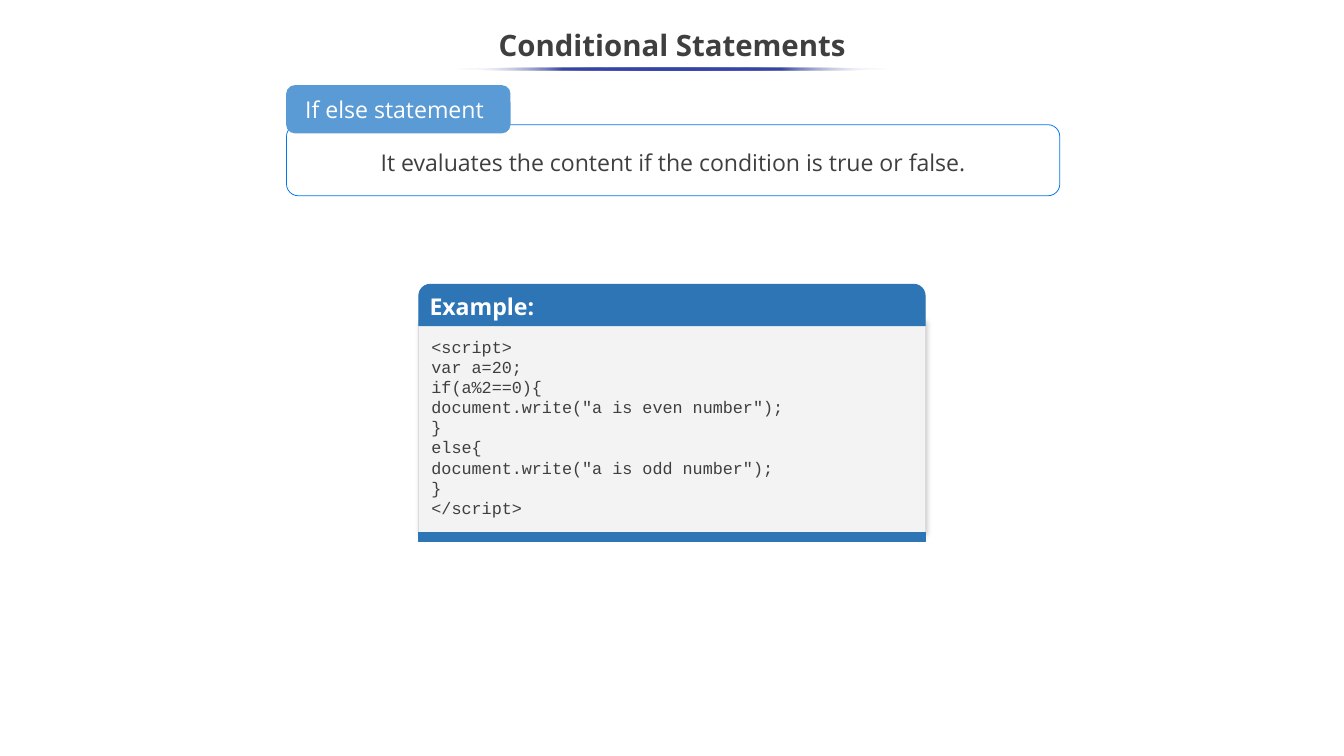
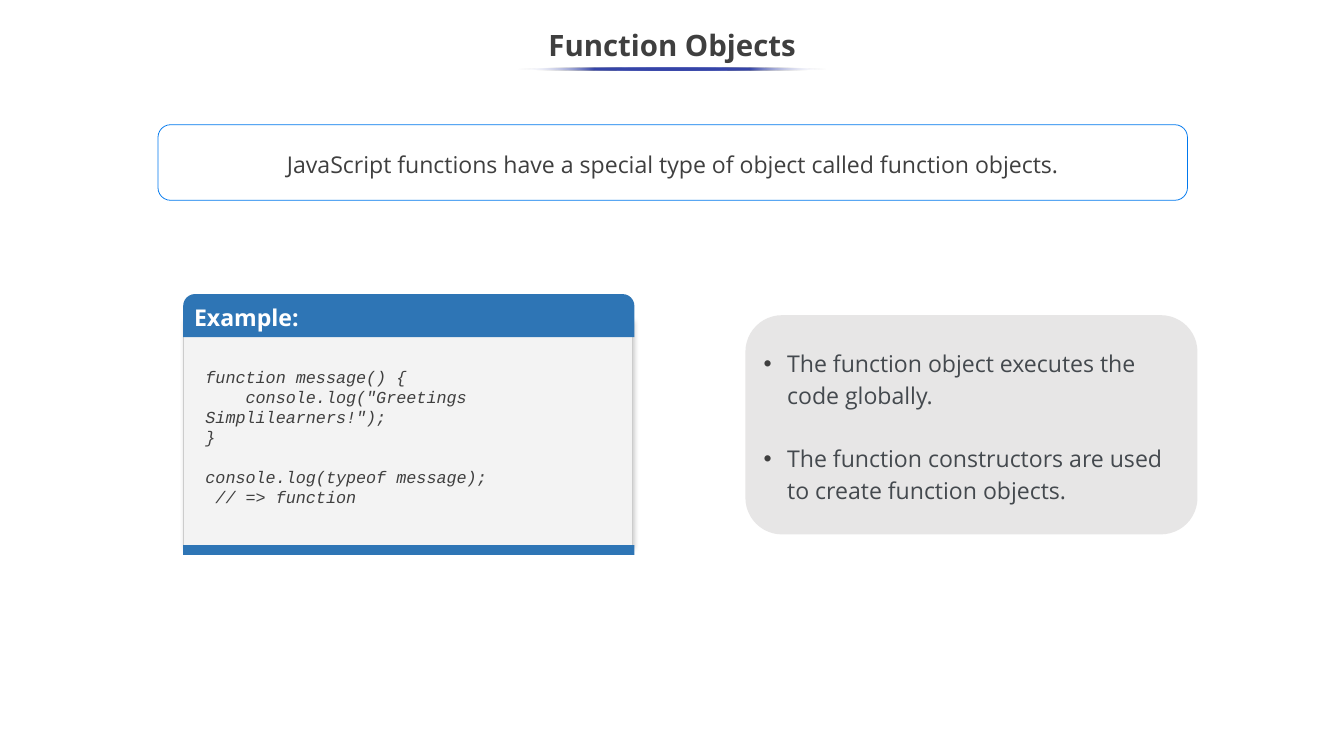
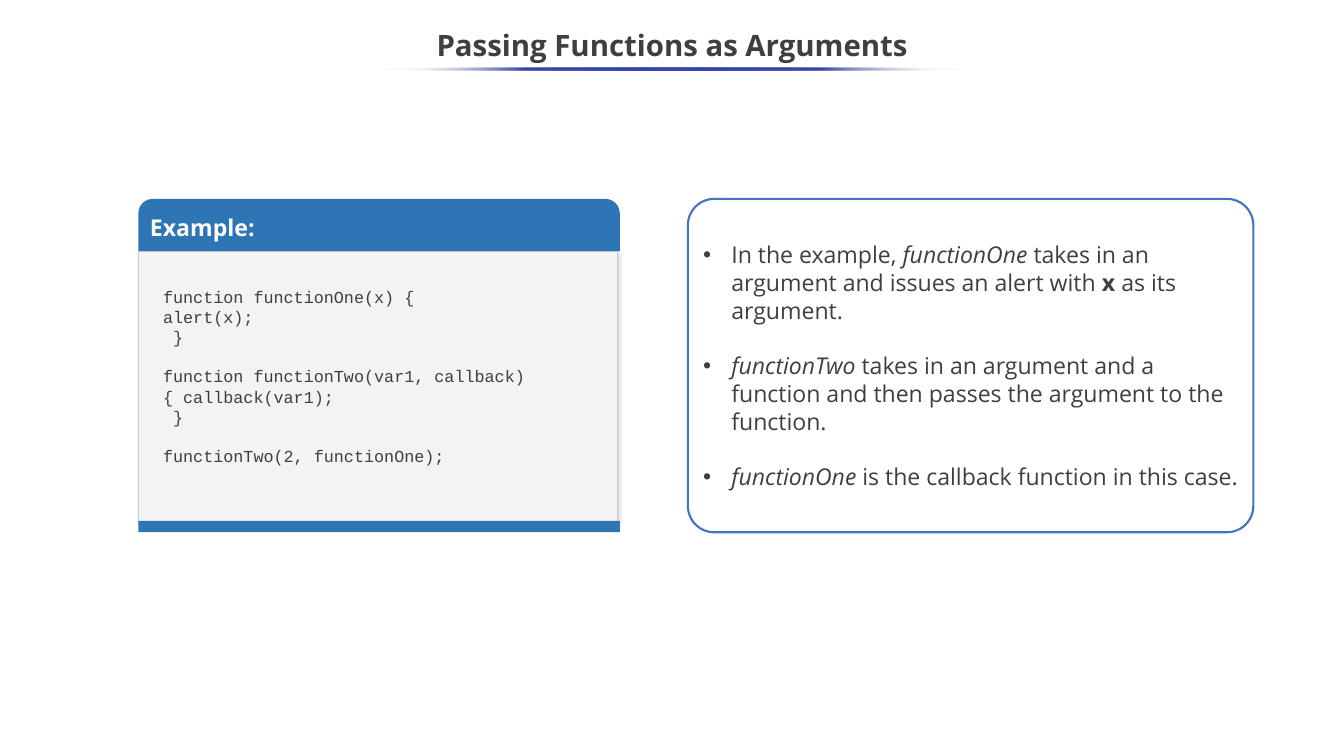
from dataclasses import dataclass, field
from typing import Optional

from lxml import etree
from pptx import Presentation
from pptx.dml.color import RGBColor
from pptx.enum.shapes import MSO_SHAPE
from pptx.enum.text import MSO_ANCHOR, PP_ALIGN
from pptx.oxml import parse_xml
from pptx.oxml.ns import nsdecls, qn
from pptx.util import Pt

RECTANGLE = MSO_SHAPE.RECTANGLE
ROUNDED = MSO_SHAPE.ROUNDED_RECTANGLE
ROUND_TOP = MSO_SHAPE.ROUND_2_SAME_RECTANGLE
OVAL = MSO_SHAPE.OVAL
TOP, MIDDLE = MSO_ANCHOR.TOP, MSO_ANCHOR.MIDDLE
LEFT, CENTER = PP_ALIGN.LEFT, PP_ALIGN.CENTER

PAGE_WIDTH, PAGE_HEIGHT = 1280.16, 720
COLORS = {
    "white": "FFFFFF",
    "ink": "3F3F3F",
    "slate": "44494E",
    "header": "2E75B5",
    "code_fill": "F3F3F3",
    "code_edge": "CCCCCC",
    "code_edge_light": "DBDBDB",
    "underline": "3645A9",
    "callout": "0078EE",
    "chip": "5B9BD5",
    "panel": "E7E6E6",
    "panel_edge": "4472C4",
}
TITLE = {"name": "Open Sans", "size": Pt(28), "bold": True}
HEADING = {"name": "Open Sans", "size": Pt(22), "bold": True}
BODY = {"name": "Open Sans", "size": Pt(22)}
CODE = {"name": "Courier New", "size": Pt(16)}
CODE_LINE = 18.1


@dataclass(frozen=True)
class Area:
    left: float
    top: float
    width: float
    height: float


@dataclass(frozen=True)
class Span:
    text: str
    style: dict = field(default_factory=dict)


@dataclass(frozen=True)
class CodeCard:
    header: Area
    body_top: float
    body_width: float
    foot_top: float
    foot_height: float
    code: Area
    blocks: tuple
    style: dict = field(default_factory=dict)
    edge: str = "code_edge"
    trim: Optional[str] = None


@dataclass(frozen=True)
class BulletPanel:
    area: Area
    items: tuple
    ink: str
    indent: float
    gap: float
    spacing: float = 1.0
    corner: float = 0.167
    fill: Optional[str] = None
    edge: Optional[str] = None


def rgb(name: str) -> RGBColor:
    return RGBColor.from_string(COLORS[name])


def lengths(area: Area) -> tuple:
    return Pt(area.left), Pt(area.top), Pt(area.width), Pt(area.height)


def draw_shape(page, kind, area: Area, fill=None, edge=None, weight=0.75, corners=()):
    shape = page.shapes.add_shape(kind, *lengths(area))
    shape.shadow.inherit = False
    for index, value in enumerate(corners):
        shape.adjustments[index] = value
    if fill:
        shape.fill.solid()
        shape.fill.fore_color.rgb = rgb(fill)
    else:
        shape.fill.background()
    if edge:
        shape.line.color.rgb = rgb(edge)
        shape.line.width = Pt(weight)
    else:
        shape.line.fill.background()
    return shape


def prepare_frame(shape, anchor=MIDDLE):
    frame = shape.text_frame
    frame.word_wrap = True
    frame.vertical_anchor = anchor
    return frame


def add_span(para, span: Span, style: dict, ink: str) -> None:
    run = para.add_run()
    run.text = span.text
    for name, value in {**style, **span.style}.items():
        setattr(run.font, name, value)
    run.font.color.rgb = rgb(ink)


def write_line(shape, text: str, style: dict, ink: str, align=CENTER, spacing=1.0) -> None:
    para = prepare_frame(shape).paragraphs[0]
    para.alignment = align
    para.line_spacing = spacing
    add_span(para, Span(text), style, ink)


def next_paragraph(frame, first: bool):
    return frame.paragraphs[0] if first else frame.add_paragraph()


def add_bullet(para, indent: float) -> None:
    properties = para._p.get_or_add_pPr()
    properties.set("marL", str(Pt(indent)))
    properties.set("indent", str(-Pt(indent)))
    color = etree.SubElement(properties, qn("a:buClr"))
    etree.SubElement(color, qn("a:srgbClr"), val=COLORS["ink"])
    etree.SubElement(properties, qn("a:buFont"), typeface="Arial")
    etree.SubElement(properties, qn("a:buChar"), char="•")


def add_soft_shadow(shape) -> None:
    effects = shape._element.spPr.find(qn("a:effectLst"))
    effects.append(parse_xml(
        f'<a:outerShdw {nsdecls("a")} blurRad="{Pt(4.5)}" dist="{Pt(1.5)}" '
        f'dir="{47 * 60000}" algn="tl" rotWithShape="0"><a:srgbClr val="000000">'
        '<a:alpha val="20000"/></a:srgbClr></a:outerShdw>'))


def fade_ends(shape) -> None:
    clear = f'<a:srgbClr val="{COLORS["white"]}"><a:alpha val="0"/></a:srgbClr>'
    solid = f'<a:srgbClr val="{COLORS["underline"]}"/>'
    stops = "".join(
        f'<a:gs pos="{position * 1000}">{clear if position in (0, 100) else solid}</a:gs>'
        for position in range(0, 101, 25))
    properties = shape._element.spPr
    blank = properties.find(qn("a:noFill"))
    properties.replace(blank, parse_xml(
        f'<a:gradFill {nsdecls("a")} rotWithShape="1"><a:gsLst>{stops}</a:gsLst>'
        '<a:lin ang="10800000" scaled="0"/></a:gradFill>'))


def add_page(deck, title: str, underline_width: float):
    page = deck.slides.add_slide(deck.slide_layouts[6])
    box = page.shapes.add_textbox(*lengths(Area(0, 18, PAGE_WIDTH, 54)))
    write_line(box, title, TITLE, "ink", spacing=0.9)
    left = (PAGE_WIDTH - underline_width) / 2
    fade_ends(draw_shape(page, OVAL, Area(left, 64.2, underline_width, 3)))
    return page


def draw_callout(page, area: Area, text: str) -> None:
    box = draw_shape(page, ROUNDED, area, edge="callout")
    write_line(box, text, BODY, "ink", spacing=1.15)
    box.text_frame.margin_top = box.text_frame.margin_bottom = 0


def draw_chip(page, area: Area, text: str) -> None:
    chip = draw_shape(page, ROUNDED, area, "chip", "chip", 2)
    write_line(chip, text, BODY, "white")
    chip.text_frame.margin_right = Pt(14.4)


def draw_code_card(page, card: CodeCard) -> None:
    header = card.header
    body = Area(header.left, card.body_top, card.body_width,
                card.foot_top - card.body_top + 1)
    add_soft_shadow(draw_shape(page, RECTANGLE, body, "code_fill", card.edge))
    heading = draw_shape(page, ROUND_TOP, header, "header", card.trim, corners=(0.275, 0))
    write_line(heading, "Example:", HEADING, "white", LEFT)
    foot = Area(header.left, card.foot_top, header.width, card.foot_height)
    draw_shape(page, RECTANGLE, foot, "header", card.trim)

    frame = prepare_frame(page.shapes.add_textbox(*lengths(card.code)), TOP)
    for block_index, block in enumerate(card.blocks):
        for line_index, line in enumerate(block):
            para = next_paragraph(frame, block_index == line_index == 0)
            if block_index and not line_index:
                para.space_before = Pt(CODE_LINE)
            add_span(para, Span(line, card.style), CODE, "ink")


def draw_bullet_panel(page, panel: BulletPanel) -> None:
    box = draw_shape(page, ROUNDED, panel.area, panel.fill, panel.edge, 2, (panel.corner,))
    frame = prepare_frame(box)
    for index, spans in enumerate(panel.items):
        para = next_paragraph(frame, index == 0)
        para.alignment = LEFT
        para.line_spacing = panel.spacing
        if index:
            para.space_before = Pt(panel.gap)
        add_bullet(para, panel.indent)
        for span in spans:
            add_span(para, span, BODY, panel.ink)


def build_conditionals(deck) -> None:
    page = add_page(deck, "Conditional Statements", 412.6)
    draw_code_card(page, CodeCard(
        header=Area(398.9, 270.7, 482.4, 39.6),
        body_top=305.3, body_width=482.4, foot_top=507, foot_height=8.6,
        code=Area(403.9, 316.8, 463, 172),
        edge="code_edge_light", trim="header",
        blocks=((
            "<script>",
            "var a=20;",
            "if(a%2==0){",
            'document.write("a is even number");',
            "}",
            "else{",
            'document.write("a is odd number");',
            "}",
            "</script>",
        ),),
    ))
    draw_callout(page, Area(272.9, 118.8, 736.6, 67.7),
                 "It evaluates the content if the condition is true or false.")
    draw_chip(page, Area(273.6, 82.1, 211.7, 43.9), "If else statement")


def build_function_objects(deck) -> None:
    page = add_page(deck, "Function Objects", 294.5)
    draw_bullet_panel(page, BulletPanel(
        area=Area(710, 300.2, 430.6, 208.8), ink="slate", fill="panel",
        indent=22.5, gap=30.3, spacing=1.15,
        items=(
            (Span("The function object executes the code globally."),),
            (Span("The function constructors are used to create function objects."),),
        ),
    ))
    draw_code_card(page, CodeCard(
        header=Area(174.5, 280.1, 429.8, 41),
        body_top=305.3, body_width=427.7, foot_top=519.1, foot_height=9.4,
        code=Area(188.6, 345.6, 414, 143.3), style={"italic": True},
        blocks=(
            ("function message() {",
             '    console.log("Greetings Simplilearners!");',
             "}"),
            ("console.log(typeof message);",
             " // => function"),
        ),
    ))
    draw_callout(page, Area(150.5, 118.8, 980.6, 72),
                 "JavaScript functions have a special type of object called function objects.")


def build_passing_functions(deck) -> None:
    page = add_page(deck, "Passing Functions as Arguments", 561.6)
    italic, bold = {"italic": True}, {"bold": True}
    draw_bullet_panel(page, BulletPanel(
        area=Area(655.2, 189.4, 538.6, 317.5), ink="ink", edge="panel_edge",
        indent=27, gap=26.4, corner=0.079,
        items=(
            (Span("In the example, "), Span("functionOne", italic),
             Span(" takes in an argument and issues an alert with "),
             Span("x", bold), Span(" as its argument.")),
            (Span("functionTwo", italic),
             Span(" takes in an argument and a function and then passes "
                  "the argument to the function.")),
            (Span("functionOne", italic),
             Span(" is the callback function in this case.")),
        ),
    ))
    draw_code_card(page, CodeCard(
        header=Area(131.8, 189.4, 458.6, 49.7),
        body_top=239.8, body_width=456.5, foot_top=496.1, foot_height=10.8,
        code=Area(148.3, 269.4, 419.8, 193),
        blocks=(
            ("function functionOne(x) {", "alert(x);", " }"),
            ("function functionTwo(var1, callback)", "{ callback(var1);", " }"),
            ("functionTwo(2, functionOne);",),
        ),
    ))


def main() -> None:
    deck = Presentation()
    deck.slide_width, deck.slide_height = Pt(PAGE_WIDTH), Pt(PAGE_HEIGHT)
    build_conditionals(deck)
    build_function_objects(deck)
    build_passing_functions(deck)
    deck.save("out.pptx")


if __name__ == "__main__":
    main()
